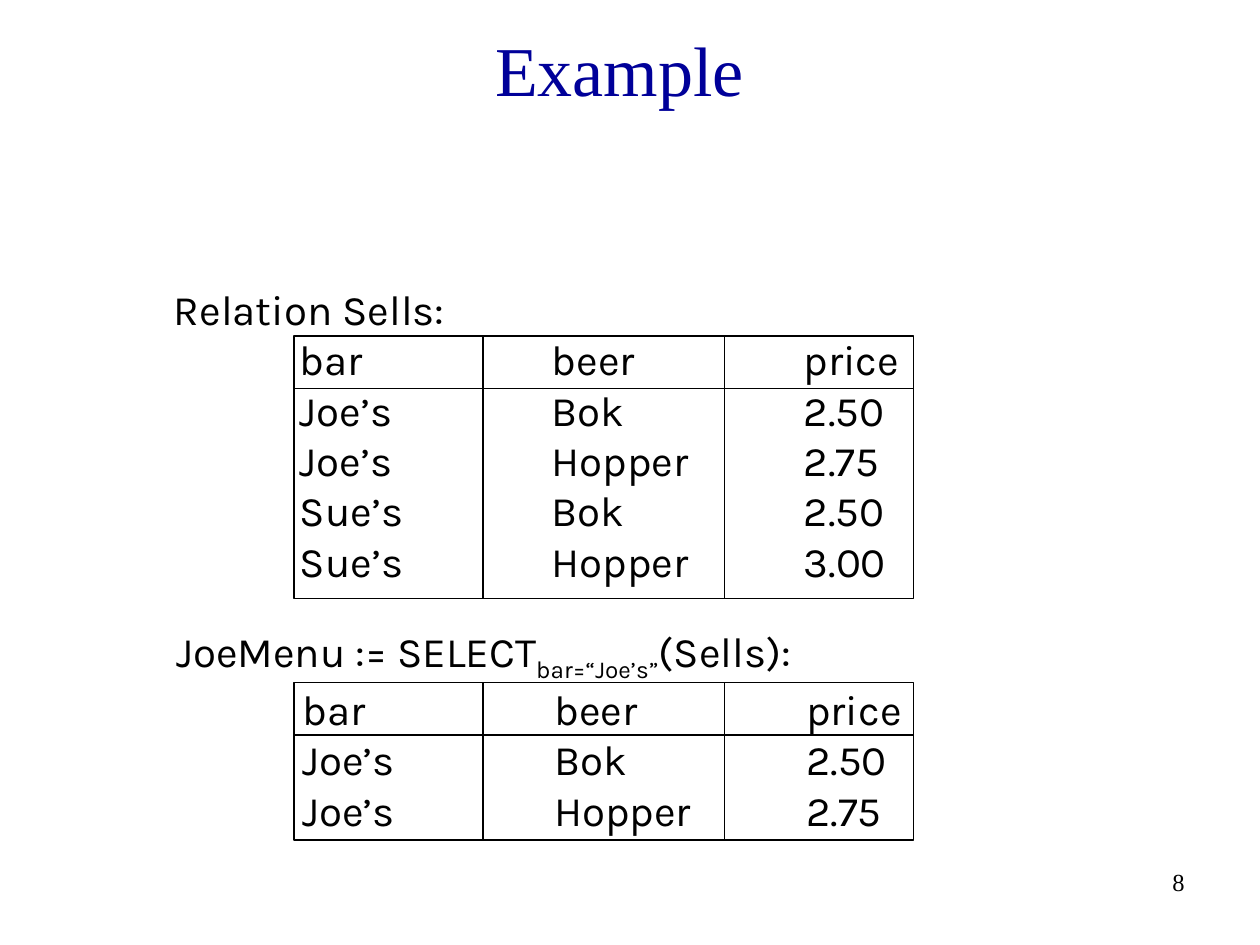
from lxml import etree
from pptx import Presentation
from pptx.dml.color import RGBColor
from pptx.enum.shapes import MSO_CONNECTOR, MSO_SHAPE
from pptx.enum.text import MSO_ANCHOR, MSO_AUTO_SIZE, PP_ALIGN
from pptx.oxml.ns import qn
from pptx.util import Pt

LINE = MSO_CONNECTOR.STRAIGHT
RECT = MSO_SHAPE.RECTANGLE
MIDDLE = MSO_ANCHOR.MIDDLE
FIT = MSO_AUTO_SIZE.SHAPE_TO_FIT_TEXT
LEFT, CENTER, RIGHT = PP_ALIGN.LEFT, PP_ALIGN.CENTER, PP_ALIGN.RIGHT

BLACK, NAVY = "000000", "000099"
SERIF, SANS = "Times New Roman", "Karla"
TABS = (72, 216, 360)
GRID_LEFT, GRID_WIDTH, HEADER_HEIGHT = 168, 354, 30
COLUMN_EDGES = (276, 414)
HEADER = ("bar", "beer", "price")


def color(value):
    """Return the colour for a hex string."""
    return RGBColor.from_string(value)


class SlideBuilder:
    """Hold the line style and the current slide."""

    def __init__(self, s, line_color=BLACK, line_width=0.75):
        """Store the slide and its line style."""
        self.s = s
        self.line_color = line_color
        self.line_width = line_width

    def style_line(self, line):
        """Apply the shared line style."""
        line.color.rgb = color(self.line_color)
        line.width = Pt(self.line_width)

    def text(self, box, paragraphs, name, size, ink, align=LEFT, tabs=(), **frame):
        """Add a text box of paragraphs made of (text, baseline) runs."""
        sp = self.s.shapes.add_textbox(*map(Pt, box))
        tf = sp.text_frame
        for key, value in {"word_wrap": True, **frame}.items():
            setattr(tf, key, value)
        for i, runs in enumerate(paragraphs):
            p = tf.add_paragraph() if i else tf.paragraphs[0]
            p.alignment = align
            if tabs:
                tab_list = etree.SubElement(p._p.get_or_add_pPr(), qn("a:tabLst"))
                for pos in tabs:
                    etree.SubElement(tab_list, qn("a:tab"), pos=str(Pt(pos)), algn="l")
            for text, baseline in runs:
                r = p.add_run()
                r.text = text
                for key, value in {"name": name, "size": Pt(size)}.items():
                    setattr(r.font, key, value)
                r.font.color.rgb = color(ink)
                if baseline:
                    r._r.get_or_add_rPr().set("baseline", str(baseline))

    def rect(self, *box):
        """Add an unfilled frame."""
        sp = self.s.shapes.add_shape(RECT, *map(Pt, box))
        sp.shadow.inherit = False
        sp.fill.background()
        self.style_line(sp.line)

    def line(self, *ends):
        """Add a straight line without a shadow."""
        sp = self.s.shapes.add_connector(LINE, *map(Pt, ends))
        self.style_line(sp.line)
        etree.SubElement(sp._element.spPr, qn("a:effectLst"))

    def relation(self, text_box, caption, rows, top, height):
        """Add a captioned relation with its ruled grid."""
        lines = [[("\t" + "\t".join(row), 0)] for row in (HEADER, *rows)]
        self.text(text_box, [caption, *lines], SANS, 24, BLACK,
                  tabs=TABS, word_wrap=False, auto_size=FIT)
        self.rect(GRID_LEFT, top, GRID_WIDTH, height)
        rule = top + HEADER_HEIGHT
        self.line(GRID_LEFT, rule, GRID_LEFT + GRID_WIDTH, rule)
        for x in COLUMN_EDGES:
            self.line(x, top, x, top + height)


def main():
    """Build and save the slide."""
    prs = Presentation()
    prs.slide_width, prs.slide_height = Pt(720), Pt(540)
    b = SlideBuilder(prs.slides.add_slide(prs.slide_layouts[6]))

    b.text((534, 492, 150, 36), [[("8", 0)]], SERIF, 14, BLACK, RIGHT)
    b.text((12, 12, 684, 54), [[("Example", 0)]], SERIF, 40, NAVY, CENTER,
           vertical_anchor=MIDDLE)

    joe = [("Joe’s", "Bok", "2.50"), ("Joe’s", "Hopper", "2.75")]
    sue = [("Sue’s", "Bok", "2.50"), ("Sue’s", "Hopper", "3.00")]
    b.relation((92.2, 158.4, 430, 180), [("Relation Sells:", 0)], joe + sue, 192, 150)
    selection = [("JoeMenu := SELECT", 0), ("bar=“Joe’s”", -25000), ("(Sells):", 0)]
    b.relation((93.6, 354.2, 430, 126.7), selection, joe, 390, 90)

    prs.save("out.pptx")


if __name__ == "__main__":
    main()
